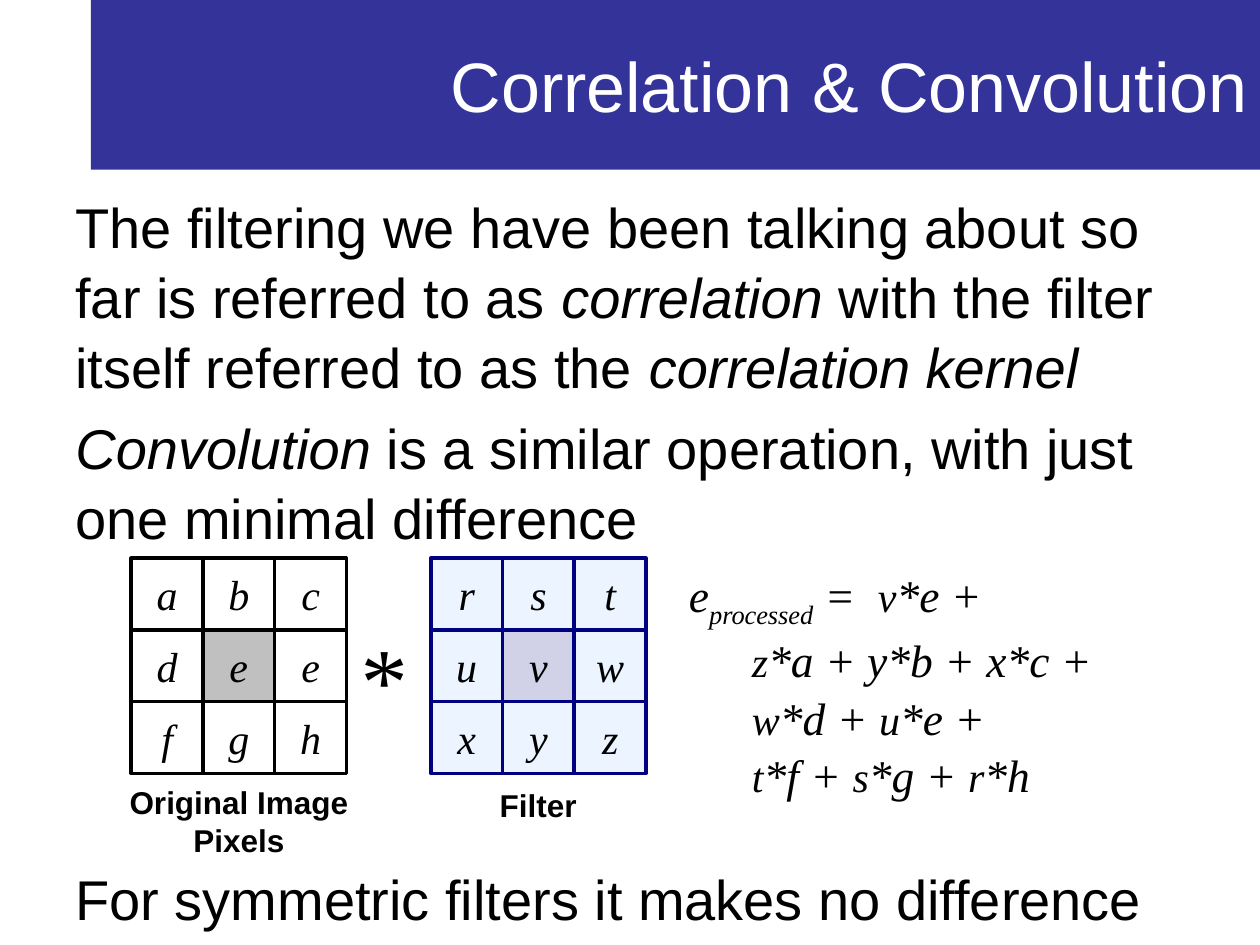
from dataclasses import dataclass

from lxml.etree import SubElement
from pptx import Presentation
from pptx.dml.color import RGBColor
from pptx.enum.shapes import MSO_SHAPE
from pptx.enum.text import MSO_ANCHOR, PP_ALIGN
from pptx.oxml.ns import qn
from pptx.util import Pt

SANS, SERIF = "Arial", "Times New Roman"
SIDE, TOP = 41, 319


@dataclass
class Run:
    text: str
    size: float
    face: str = SANS
    ital: bool = False
    bold: bool = False
    color: str = "000000"
    base: int = 0


@dataclass
class Box:
    left: float
    top: float
    width: float
    height: float


@dataclass
class Grid:
    left: float
    chars: str
    fill: str
    mid: str
    line: str
    label: str
    box: Box
    alpha: int = 100


def rgb(code: str) -> RGBColor:
    return RGBColor.from_string(code)


def place(box: Box) -> list:
    return [Pt(v) for v in (box.left, box.top, box.width, box.height)]


def write(para, runs: list[Run]) -> None:
    """Add runs to a paragraph; a newline becomes a line break."""
    for item in runs:
        for num, part in enumerate(item.text.split("\n")):
            if num:
                para.add_line_break()
            run = para.add_run()
            run.text = part
            font = run.font
            font.name, font.size = item.face, Pt(item.size)
            font.italic, font.bold = item.ital, item.bold
            font.color.rgb = rgb(item.color)
            if item.base:
                font._element.set("baseline", str(item.base * 1000))


def fill_text(frame, paras: list[list[Run]], align, space: float) -> None:
    frame.word_wrap = True
    for num, runs in enumerate(paras):
        para = frame.add_paragraph() if num else frame.paragraphs[0]
        para.alignment, para.line_spacing = align, space
        if num:
            para.space_before = Pt(6.4)
        write(para, runs)


def add_text(shapes, box: Box, paras: list[list[Run]],
             align=PP_ALIGN.LEFT, space: float = 1.0) -> None:
    fill_text(shapes.add_textbox(*place(box)).text_frame, paras, align, space)


def add_rect(shapes, box: Box, run: Run, fill: str, align,
             line: str = "", alpha: int = 100) -> None:
    rect = shapes.add_shape(MSO_SHAPE.RECTANGLE, *place(box))
    rect.shadow.inherit = False
    rect.fill.solid()
    rect.fill.fore_color.rgb = rgb(fill)
    if alpha < 100:
        tint = rect._element.spPr.find(".//" + qn("a:srgbClr"))
        SubElement(tint, qn("a:alpha")).set("val", str(alpha * 1000))
    if line:
        rect.line.color.rgb = rgb(line)
        rect.line.width = Pt(2)
    else:
        rect.line.fill.background()
    rect.text_frame.vertical_anchor = MSO_ANCHOR.MIDDLE
    fill_text(rect.text_frame, [[run]], align, 1.0)


def add_grid(shapes, grid: Grid) -> None:
    """Draw a 3 by 3 grid of cells with its label as one group."""
    group = shapes.add_group_shape().shapes
    for num, char in enumerate(grid.chars):
        row, col = divmod(num, 3)
        box = Box(grid.left + col * SIDE, TOP + row * SIDE, SIDE, SIDE)
        fill = grid.mid if num == 4 else grid.fill
        add_rect(group, box, Run(char, 24, SERIF, True), fill,
                 PP_ALIGN.CENTER, grid.line, grid.alpha)
    add_text(group, grid.box, [[Run(grid.label, 18, bold=True)]],
             PP_ALIGN.CENTER)


def math(text: str, size: float = 26, base: int = 0) -> Run:
    return Run(text, size, SERIF, True, base=base)


def body(text: str, ital: bool = False) -> Run:
    return Run(text, 32, ital=ital)


INTRO = [
    [body("The filtering we have been talking about so far is referred to as "),
     body("correlation ", True),
     body("with the filter itself referred to as the "),
     body("correlation kernel", True)],
    [body("Convolution", True),
     body(" is a similar operation, with just one minimal difference")],
]
SUM = [
    math("e"), math("processed", base=-25), math(" = \t"),
    math("v", 24), math("*e + \n\t"),
    math("z", 24), math("*a + y*b + x*c + \n\t"),
    math("w", 24), math("*d + "), math("u", 24), math("*e + \n\t"),
    math("t", 24), math("*f + "), math("s", 24), math("*g + "),
    math("r", 24), math("*h"),
]
GRIDS = [
    Grid(246.2, "rstuvwxyz", "99CCFF", "000080", "000080", "Filter",
         Box(236, 445.7, 143, 29), 18),
    Grid(75, "abcdeefgh", "FFFFFF", "C0C0C0", "000000",
         "Original Image Pixels", Box(65, 444.2, 143, 50)),
]


def main() -> None:
    deck = Presentation()
    deck.slide_width, deck.slide_height = Pt(720), Pt(540)
    shapes = deck.slides.add_slide(deck.slide_layouts[6]).shapes
    add_rect(shapes, Box(52, 0, 668, 97),
             Run("Correlation & Convolution", 40, color="FFFFFF"),
             "333399", PP_ALIGN.RIGHT)
    add_text(shapes, Box(36, 105, 648, 205), INTRO, space=1.04)
    add_text(shapes, Box(36, 489, 648, 46),
             [[body("For symmetric filters it makes no difference")]],
             space=1.04)
    add_text(shapes, Box(386.6, TOP, 328, 132.5), [SUM], space=1.05)
    for grid in GRIDS:
        add_grid(shapes, grid)
    add_text(shapes, Box(196, 350.6, 42, 72), [[math("*", 54)]],
             PP_ALIGN.CENTER)
    deck.save("out.pptx")


if __name__ == "__main__":
    main()
